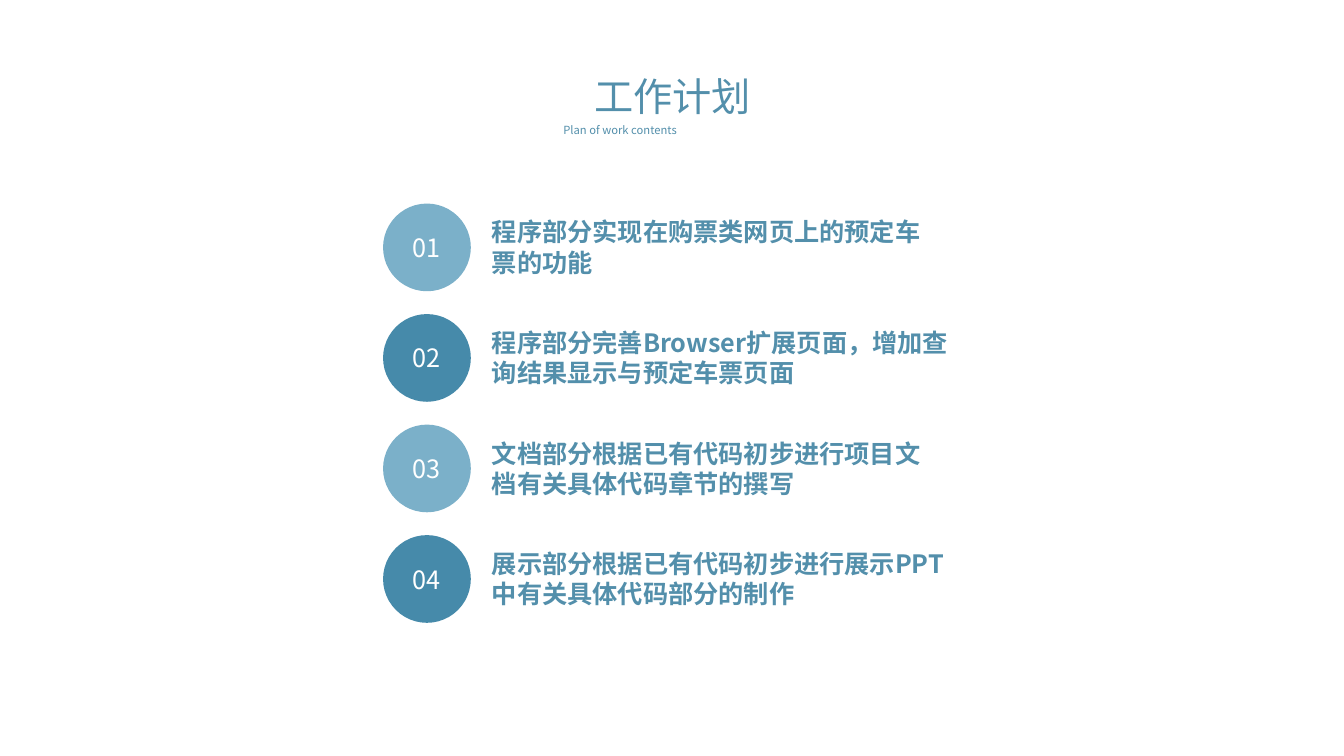
import pptx
import pptx.util
import pptx.dml.color
import pptx.enum.shapes
import pptx.enum.text
import pptx.oxml
import pptx.oxml.ns

ALIGN = pptx.enum.text.PP_ALIGN
ANCHOR = pptx.enum.text.MSO_ANCHOR
COLORS = {"text": "538FAB", "light": "7BB0C9", "dark": "468AAA", "white": "FFFFFF"}
FONT = "Noto Sans CJK SC"

# Text and box width (percent of the slide width)
PLANS = [
    ("程序部分实现在购票类网页上的预定车票的功能", 35.1),
    ("程序部分完善Browser扩展页面，增加查询结果显示与预定车票页面", 35.86),
    ("文档部分根据已有代码初步进行项目文档有关具体代码章节的撰写", 34.73),
    ("展示部分根据已有代码初步进行展示PPT中有关具体代码部分的制作", 35.86),
]
FIRST_ROW, ROW_PITCH = 26.93, 14.62


def rgb(name):
    return pptx.dml.color.RGBColor.from_string(COLORS[name])


class Deck:
    """Slide style and drawing; every box is (left, top, width, height) in percent."""

    def __init__(self):
        self.prs = pptx.Presentation()
        self.prs.slide_width = pptx.util.Inches(13.33)
        self.prs.slide_height = pptx.util.Inches(7.5)
        # The comparison layout offers a title and four body placeholders
        self.slide = self.prs.slides.add_slide(self.prs.slide_layouts[4])

    def place(self, box):
        w, h = self.prs.slide_width, self.prs.slide_height
        return [int(share * side / 100) for share, side in zip(box, (w, h, w, h))]

    def add_text(self, sp, text, size, color="text", bold=False,
                 align=ALIGN.LEFT, anchor=ANCHOR.TOP, inset=(0.1, 0.05)):
        tf = sp.text_frame
        tf.word_wrap = True
        tf.vertical_anchor = anchor
        tf.margin_left = tf.margin_right = pptx.util.Inches(inset[0])
        tf.margin_top = tf.margin_bottom = pptx.util.Inches(inset[1])
        p = tf.paragraphs[0]
        p.alignment = align
        p.line_spacing = 1.0
        p.space_before = pptx.util.Pt(0)
        r = p.add_run()
        r.text = text
        r.font.size = pptx.util.Pt(size)
        r.font.bold = bold
        r.font.name = FONT
        r.font.color.rgb = rgb(color)
        ea = pptx.oxml.parse_xml(
            f'<a:ea {pptx.oxml.ns.nsdecls("a")} typeface="{FONT}"/>')
        r.font._element.find(pptx.oxml.ns.qn("a:latin")).addnext(ea)
        return tf

    def fill_placeholder(self, idx, box, text, size, **style):
        sp = self.slide.placeholders[idx]
        sp.left, sp.top, sp.width, sp.height = self.place(box)
        tf = self.add_text(sp, text, size, **style)
        tf.auto_size = pptx.enum.text.MSO_AUTO_SIZE.SHAPE_TO_FIT_TEXT
        pPr = tf.paragraphs[0]._p.get_or_add_pPr()
        pPr.set("marL", "0")
        pPr.set("indent", "0")
        pPr.append(pptx.oxml.parse_xml(f'<a:buNone {pptx.oxml.ns.nsdecls("a")}/>'))

    def textbox(self, box, text, size, **style):
        sp = self.slide.shapes.add_textbox(*self.place(box))
        tf = self.add_text(sp, text, size, **style)
        tf.auto_size = pptx.enum.text.MSO_AUTO_SIZE.SHAPE_TO_FIT_TEXT

    def badge(self, box, text, fill):
        sp = self.slide.shapes.add_shape(
            pptx.enum.shapes.MSO_SHAPE.OVAL, *self.place(box))
        sp.shadow.inherit = False
        sp.fill.solid()
        sp.fill.fore_color.rgb = rgb(fill)
        sp.line.fill.background()
        self.add_text(sp, text, 18, color="white", align=ALIGN.CENTER,
                      anchor=ANCHOR.MIDDLE)


def main():
    deck = Deck()
    deck.fill_placeholder(0, (38.4, 8.93, 23.26, 7.6), "工作计划", 28,
                          align=ALIGN.CENTER)
    deck.textbox((41.18, 15.6, 17.7, 3.07), "Plan of work contents", 8,
                 align=ALIGN.JUSTIFY)
    for i, (text, width) in enumerate(PLANS):
        top = FIRST_ROW + i * ROW_PITCH
        deck.badge((28.5, top, 6.53, 11.6), f"{i + 1:02d}",
                   ("light", "dark")[i % 2])
        deck.fill_placeholder(i + 1, (35.7, top + 0.95, width, 9.6), text, 18,
                              bold=True, inset=(0.12, 0.06))
    deck.prs.save("out.pptx")


if __name__ == "__main__":
    main()
